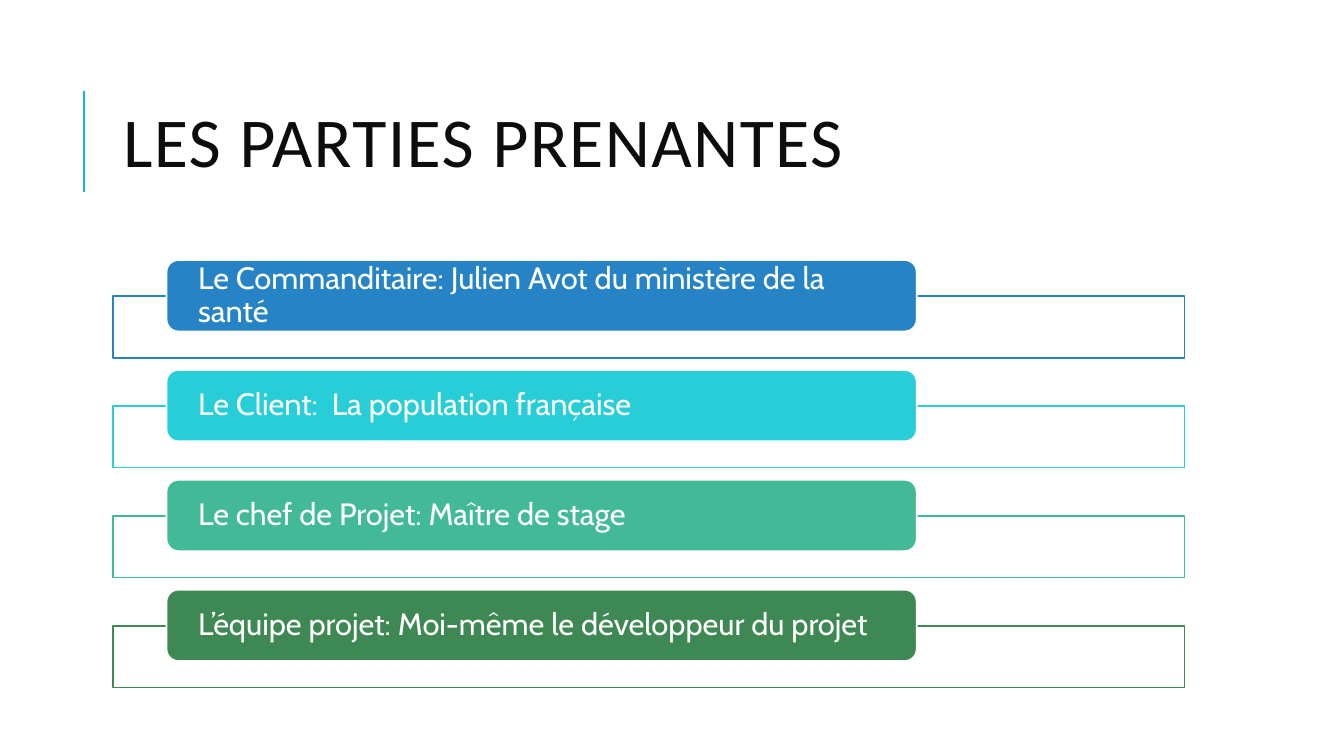
from lxml.etree import SubElement
from pptx import Presentation
from pptx.dml.color import RGBColor
from pptx.enum.shapes import MSO_CONNECTOR as Connector, MSO_SHAPE as Shape
from pptx.enum.text import MSO_ANCHOR as Anchor, MSO_AUTO_SIZE as AutoSize, PP_ALIGN as Align
from pptx.oxml.ns import qn
from pptx.util import Inches, Pt

SLIDE_SIZE = (13.33, 7.5)
TITLE_BOX = (1.12, 0.64, 10.63, 1.64)
LIST_BOX = (1.12, 2.58, 10.63, 4.36)
TITLE_ONLY = 5
STAKEHOLDERS = [
    ("Le Commanditaire: Julien Avot du ministère de la santé", "2683C6"),
    ("Le Client:  La population française", "27CED7"),
    ("Le chef de Projet: Maître de stage", "42BA97"),
    ("L’équipe projet: Moi-même le développeur du projet", "3E8853"),
]


def paint(target, color):
    """Give a fill or font colour a hex value."""
    target.rgb = RGBColor.from_string(color)


def write(shape, text, font, size, color, line_spacing, margin=0.1, tracking=0):
    """Set left-aligned, vertically centred text in a shape."""
    frame = shape.text_frame
    frame.word_wrap = True
    frame.auto_size = AutoSize.NONE
    frame.vertical_anchor = Anchor.MIDDLE
    frame.margin_left = frame.margin_right = Inches(margin)
    frame.margin_top = frame.margin_bottom = 0
    paragraph = frame.paragraphs[0]
    paragraph.alignment = Align.LEFT
    paragraph.line_spacing = line_spacing
    run = paragraph.add_run()
    run.text = text
    run.font.name = font
    run.font.size = Pt(size)
    paint(run.font.color, color)
    if tracking:
        run.font._element.set("spc", str(tracking * 100))


def add_block(slide, preset, box, fill, outline, opacity=100):
    """Add a filled and outlined shape without a shadow."""
    block = slide.shapes.add_shape(preset, *map(Inches, box))
    block.shadow.inherit = False
    block.fill.solid()
    paint(block.fill.fore_color, fill)
    if opacity < 100:
        fill_color = block._element.spPr.find(qn("a:solidFill"))[0]
        SubElement(fill_color, qn("a:alpha")).set("val", str(opacity * 1000))
    paint(block.line.color, outline)
    block.line.width = Pt(1.25)
    return block


def add_title(slide, box, text):
    """Place the title with its accent rule on the left."""
    left, top, width, height = box
    rule_x = Inches(left - 0.027 * width)
    rule = slide.shapes.add_connector(
        Connector.STRAIGHT, rule_x, Inches(top + 0.77 * height), rule_x, Inches(top + 0.16 * height))
    paint(rule.line.color, "1CADE4")
    rule.line.width = Pt(1.5)
    SubElement(rule._element.spPr, qn("a:effectLst"))
    title = slide.shapes.title
    title.left, title.top, title.width, title.height = map(Inches, box)
    write(title, text, "Calibri", 50, "0D0D0D", 0.8, tracking=1)


def add_stakeholder(slide, box, role, color):
    """Draw one row: an open frame with a label across its top edge."""
    left, top, width, height = box
    frame_box = (left, top + 0.33 * height, width, 0.56 * height)
    label_box = (left + 0.05 * width, top, 0.7 * width, 0.65 * height)
    add_block(slide, Shape.RECTANGLE, frame_box, "FFFFFF", color, opacity=90)
    label = add_block(slide, Shape.ROUNDED_RECTANGLE, label_box, color, "FFFFFF")
    write(label, role, "Cabin", 22, "FFFFFF", 0.9, margin=0.28)


def add_stakeholder_list(slide, box, stakeholders):
    """Stack the stakeholders in equal rows."""
    left, top, width, height = box
    row_height = height / len(stakeholders)
    for row, (role, color) in enumerate(stakeholders):
        add_stakeholder(slide, (left, top + row * row_height, width, row_height), role, color)


def main():
    """Build and save the slide."""
    deck = Presentation()
    deck.slide_width, deck.slide_height = map(Inches, SLIDE_SIZE)
    slide = deck.slides.add_slide(deck.slide_layouts[TITLE_ONLY])
    add_title(slide, TITLE_BOX, "LES PARTIES PRENANTES")
    add_stakeholder_list(slide, LIST_BOX, STAKEHOLDERS)
    deck.save("out.pptx")


if __name__ == "__main__":
    main()
